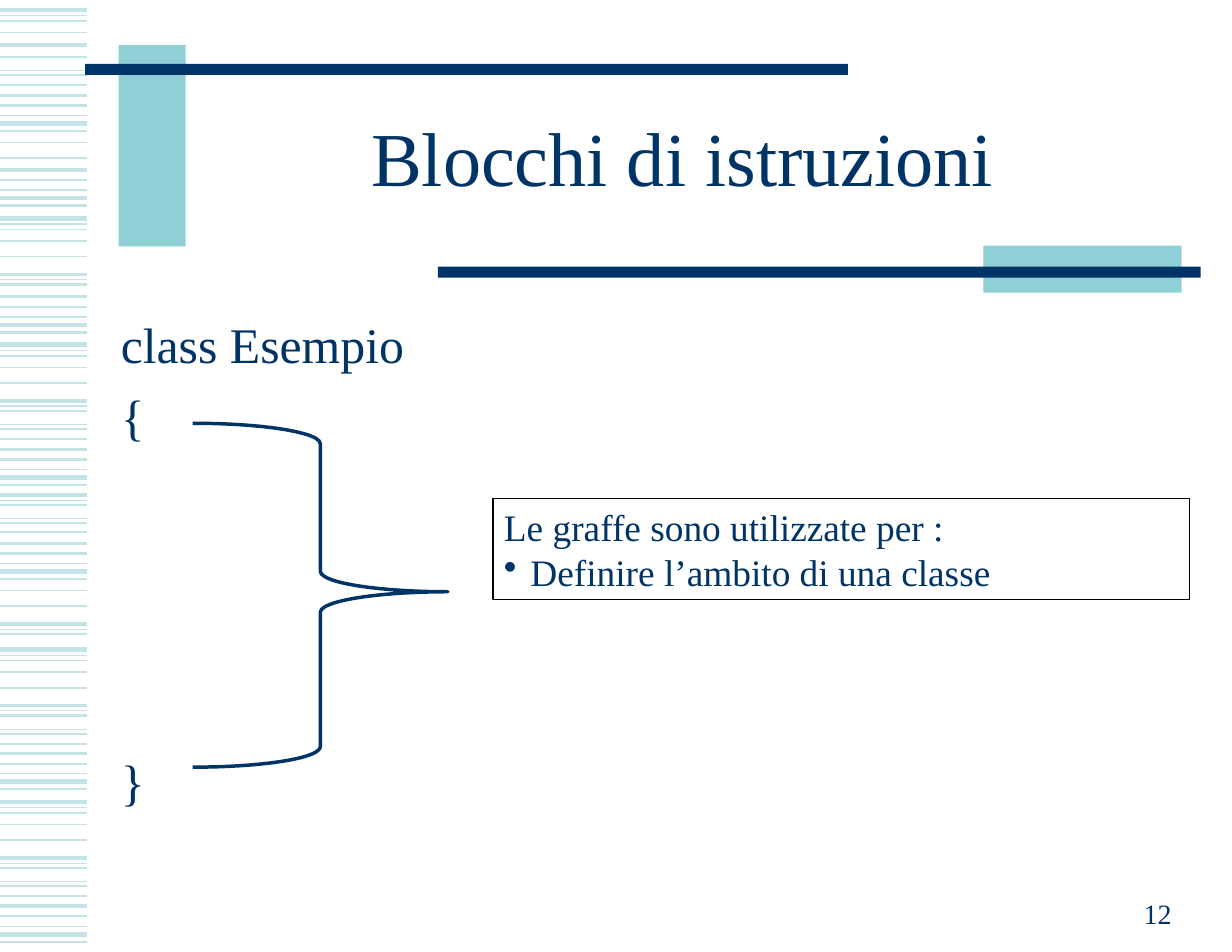
"""Build the slide on statement blocks and the use of braces."""
from lxml.etree import SubElement
from pptx import Presentation
from pptx.dml.color import RGBColor
from pptx.enum.shapes import MSO_CONNECTOR, MSO_SHAPE
from pptx.enum.text import MSO_ANCHOR, PP_ALIGN
from pptx.oxml.ns import qn
from pptx.util import Cm, Pt

THEME = {
    "font": "Times New Roman",
    "navy": RGBColor.from_string("003366"),
    "teal": RGBColor.from_string("8FD0D7"),
    "stripe": RGBColor.from_string("C3E3E7"),
    "border": RGBColor.from_string("040000"),
    "title": Pt(49),
    "code": Pt(32),
    "note": Pt(24),
    "number": Pt(18),
}


def set_text(sp, lines, size, anchor=MSO_ANCHOR.TOP, inset=(0.28, 0.15), **formats):
    tf = sp.text_frame
    side, edge = (Cm(v) for v in inset)
    frame = {"word_wrap": True, "vertical_anchor": anchor, "margin_left": side,
             "margin_right": side, "margin_top": edge, "margin_bottom": edge}
    for name, value in frame.items():
        setattr(tf, name, value)
    tf.text = "\n".join(lines)
    for p in tf.paragraphs:
        for name, value in formats.items():
            setattr(p, name, value)
        for r in p.runs:
            r.font.name = THEME["font"]
            r.font.size = size
            r.font.color.rgb = THEME["navy"]
    return tf


def add_shape(kind, box, fill=None, line=None, width=0.75):
    sp = s.shapes.add_shape(kind, *(Cm(v) for v in box))
    sp.shadow.inherit = False
    for part, color in ((sp.fill, fill), (sp.line.fill, line)):
        if color is None:
            part.background()
        else:
            part.solid()
            part.fore_color.rgb = color
    if line is not None:
        sp.line.width = Pt(width)
    return sp


prs = Presentation()
prs.slide_width, prs.slide_height = Cm(27.94), Cm(21.59)
s = prs.slides.add_slide(prs.slide_layouts[5])

STRIPE_MOTIFS = [
    ([(0, 2.25), (0.23, 1.5), (0.46, 0.75), (0.64, 3), (0.81, 1.5)],
     [2.16, 3.85, 6.73, 10.19, 12.32, 17.09, 20.55]),
    ([(0, 2.25), (0.12, 0.75), (0.23, 1.5)],
     [6.22, 9.09, 11.23, 14.15, 16, 19.46]),
    ([(0, 0.75), (0.1, 1.5)], [1.6, 9.63, 11.76, 16.54, 19.99]),
    ([(0, 3), (0.13, 0.75), (0.25, 1), (0.51, 1)],
     [0.23, 4.95, 7.82, 14.73, 18.19]),
    ([(0, 1)], [1.93, 3.23, 3.58, 5.82, 8.69, 9.96, 12.07, 13.39, 13.74,
                15.6, 16.87, 19.05, 20.32]),
    ([(0, 3), (0.28, 1.5)], [1.02]),
]
for motif, starts in STRIPE_MOTIFS:
    for start in starts:
        for offset, width in motif:
            y = Cm(start + offset)
            stripe = s.shapes.add_connector(MSO_CONNECTOR.STRAIGHT, 0, y, Cm(1.98), y)
            stripe.line.color.rgb = THEME["stripe"]
            stripe.line.width = Pt(width)
            SubElement(stripe._element.spPr, qn("a:effectLst"))

for box, color in (
    ((2.69, 1.02, 1.52, 4.57), "teal"),
    ((1.93, 1.45, 17.3, 0.25), "navy"),
    ((22.3, 5.57, 4.5, 1.07), "teal"),
    ((9.93, 6.05, 17.3, 0.25), "navy"),
):
    add_shape(MSO_SHAPE.RECTANGLE, box, fill=THEME[color])

title = s.shapes.title
for name, value in {"left": 4.19, "top": 1.9, "width": 22.56, "height": 3.61}.items():
    setattr(title, name, Cm(value))
set_text(title, ["Blocchi di istruzioni"], THEME["title"], MSO_ANCHOR.MIDDLE,
         alignment=PP_ALIGN.CENTER, line_spacing=0.85)

code = s.shapes.add_textbox(Cm(2.46), Cm(6.96), Cm(25.1), Cm(12.22))
tf = set_text(code, ["class Esempio", "{", "}"], THEME["code"], space_before=Pt(8))
tf.paragraphs[2].space_before = Pt(196)

number = s.shapes.add_textbox(Cm(20.14), Cm(19.79), Cm(6.71), Cm(1.45))
set_text(number, ["12"], THEME["number"], MSO_ANCHOR.BOTTOM, alignment=PP_ALIGN.RIGHT)

brace = add_shape(MSO_SHAPE.RIGHT_BRACE, (4.37, 9.6, 5.79, 7.8),
                  line=THEME["navy"], width=2.25)
brace.adjustments[0] = 0.08
brace.adjustments[1] = 0.49

note = add_shape(MSO_SHAPE.RECTANGLE, (11.18, 11.3, 15.8, 2.29), line=THEME["border"])
tf = set_text(note, ["Le graffe sono utilizzate per :", "Definire l’ambito di una classe"],
              THEME["note"], inset=(0.25, 0.13), alignment=PP_ALIGN.LEFT)
pPr = tf.paragraphs[1]._p.get_or_add_pPr()
pPr.set("marL", str(Cm(0.6)))
pPr.set("indent", str(Cm(-0.6)))
SubElement(pPr, qn("a:buChar")).set("char", "•")

prs.save("out.pptx")
